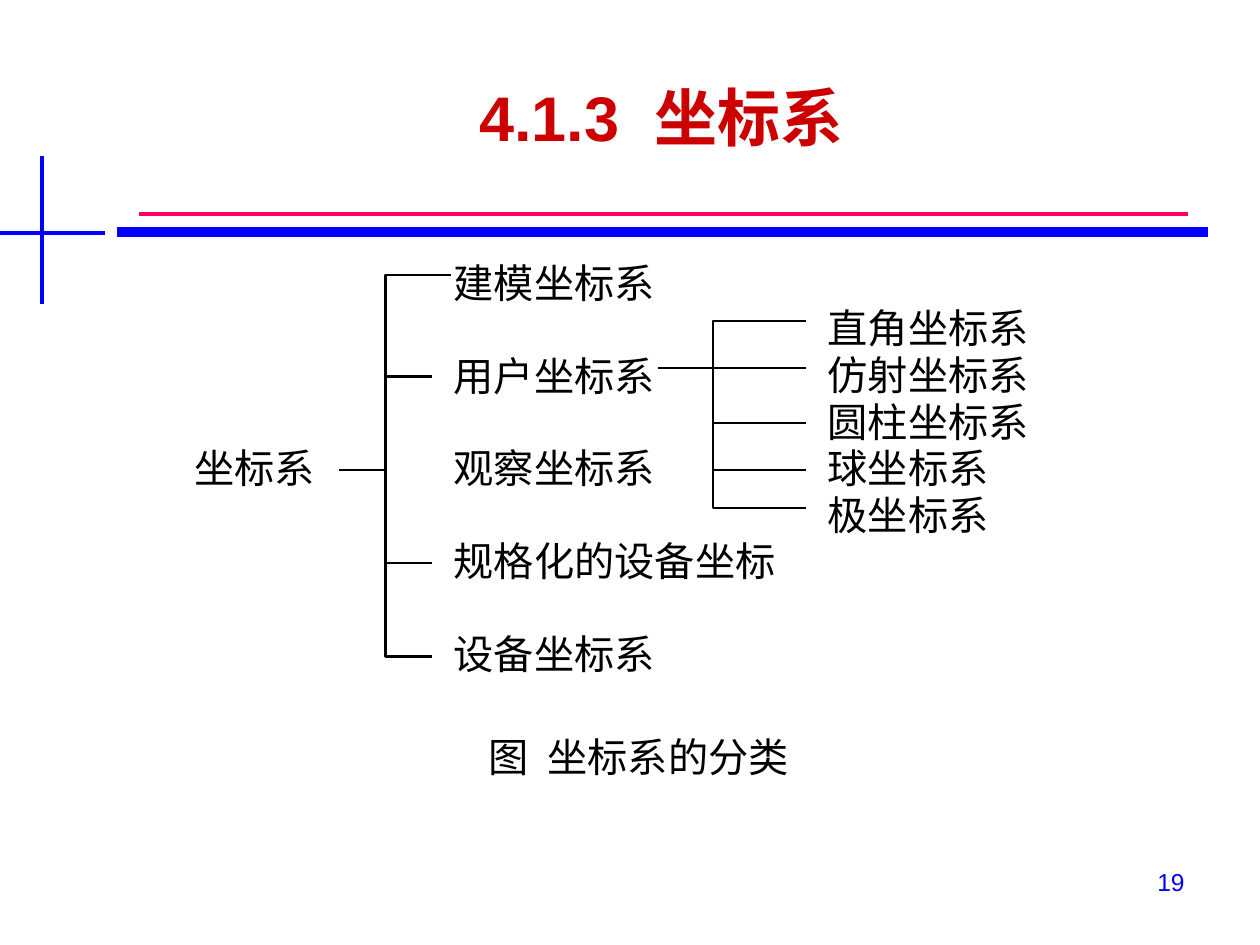
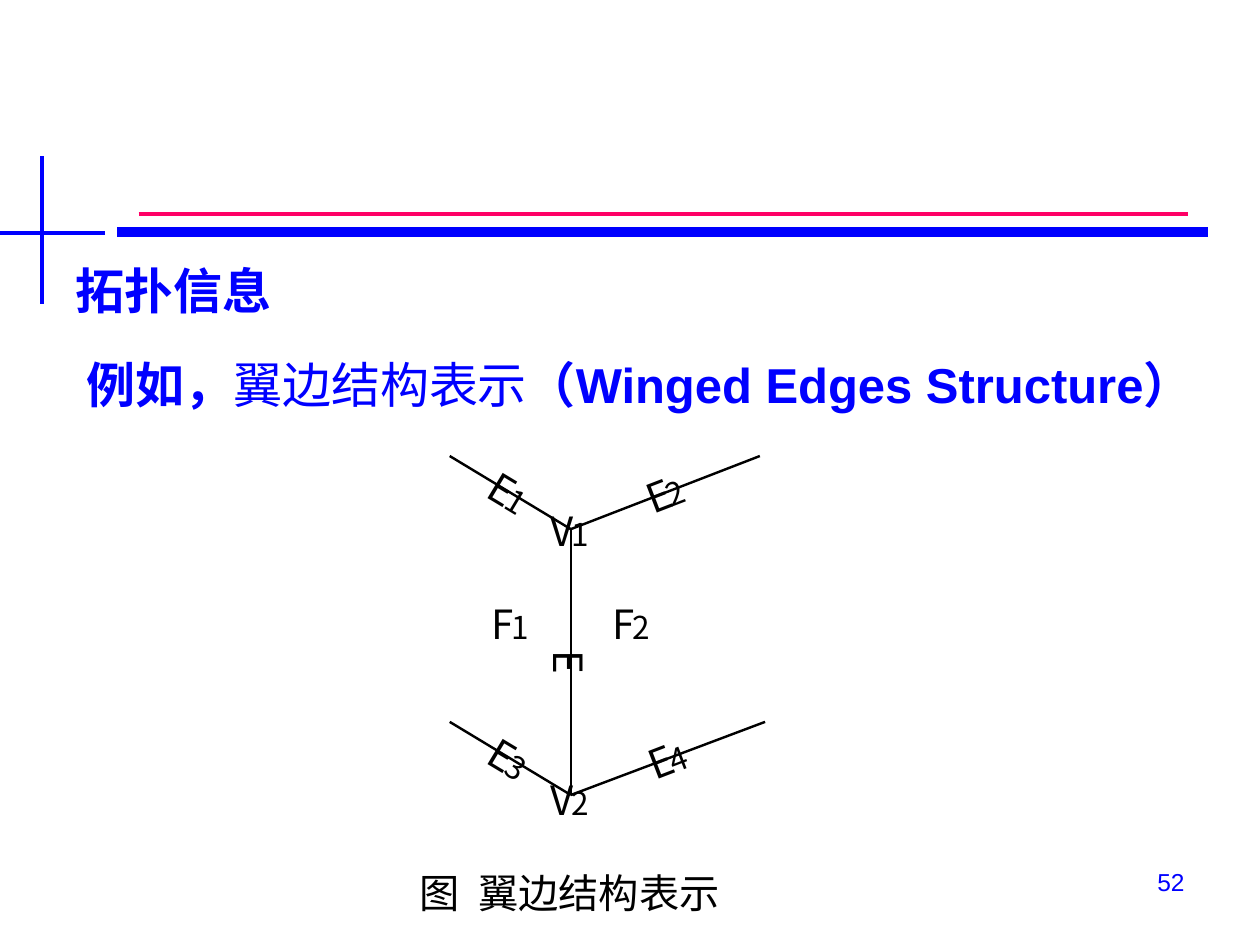
from lxml.etree import SubElement
from pptx import Presentation
from pptx.dml.color import RGBColor as Rgb
from pptx.enum.shapes import MSO_CONNECTOR as Link
from pptx.enum.text import MSO_ANCHOR as Anchor, MSO_AUTO_SIZE as Auto, PP_ALIGN as Align
from pptx.oxml.ns import qn
from pptx.util import Pt

INK = {"title": "CC0000", "blue": "0000FF", "pink": "FF0066", "black": "000000"}
LATIN, HAN = "Arial", "Noto Sans CJK SC"
BIG, SMALL, THIN = 23, 18, 1.4
SLACK = 4  # spare width that keeps a label on one line

# Frame lines: x1, y1, x2, y2, colour, width
FRAME = [
    (79.2, 122.4, 679, 122.4, "pink", 2.25),
    (67, 132.5, 690.5, 132.5, "blue", 6),
    (0, 133.2, 59.8, 133.2, "blue", 2.25),
    (24, 89.3, 24, 173.5, "blue", 2.25),
]

# Tuples of words are set with a double-width space between them
TITLE = ("4.1.3", "坐标系")
ROOT = "坐标系"
# Branches: label, height of its line, right end of its line
KINDS = [
    ("建模坐标系", 157, 257.8),
    ("用户坐标系", 215.3, 247),
    ("观察坐标系", None, None),
    ("规格化的设备坐标", 321.8, 247),
    ("设备坐标系", 375.1, 247),
]
USERS = [
    ("直角坐标系", 183.6, 460.8),
    ("仿射坐标系", 210.2, 460.8),
    ("圆柱坐标系", 241.9, 460.8),
    ("球坐标系", 268.6, 460.8),
    ("极坐标系", 290.2, 460.8),
]
TREE_NOTE = ("图", "坐标系的分类")

HEAD = "拓扑信息"
LEAD = [("例如，", True), ("翼边结构表示", False), ("（Winged Edges Structure）", True)]
WING_NOTE = ("图", "翼边结构表示")
# Vertices: y, y of its mark, number, left edge, right edge, shift of right edge
NODES = [(302.4, 289.4, "1", "1", "2", 0), (454.3, 442.8, "2", "3", "4", 1.5)]
FACES = [("1", 280.8), ("2", 349.9)]
AXIS = 326.2


def write(par, text, size, color, font=HAN, bold=False):
    parts = (text,) if isinstance(text, str) else (text[0], " ", text[1])
    for part in parts:
        run = par.add_run()
        run.text = part
        face = run.font
        face.size, face.bold, face.name = Pt(size), bold, font
        face.color.rgb = Rgb.from_string(INK[color])
        props = run._r.get_or_add_rPr()
        SubElement(props, qn("a:ea")).set("typeface", HAN)
        if part == " ":
            props.set("spc", str(round(size * (28 if font == LATIN else 22.4))))


def label(slide, text, x, y, size=BIG, wide=None, turn=0):
    """Place a tight text box whose text sets its size."""
    wide = wide or size * len("".join(text)) + SLACK
    box = slide.shapes.add_textbox(Pt(x), Pt(y), Pt(wide), Pt(size * 1.19))
    box.rotation = turn
    frame = box.text_frame
    frame.margin_left = frame.margin_right = 0
    frame.margin_top = frame.margin_bottom = 0
    frame.word_wrap, frame.auto_size = False, Auto.SHAPE_TO_FIT_TEXT
    par = frame.paragraphs[0]
    par.alignment = Align.LEFT
    write(par, text, size, "black")


def mark(slide, sign, num, x, y, dx, dy, turn=0):
    """Place a letter with a smaller number offset from it."""
    label(slide, sign, x, y, wide=13, turn=turn)
    label(slide, num, x + dx, y + dy, SMALL, 10, turn)


def line(slide, x1, y1, x2, y2, color="black", width=THIN):
    rule = slide.shapes.add_connector(Link.STRAIGHT, Pt(x1), Pt(y1), Pt(x2), Pt(y2))
    rule.line.color.rgb = Rgb.from_string(INK[color])
    rule.line.width = Pt(width)
    SubElement(rule._element.spPr, qn("a:effectLst"))


def elbow(slide, x, y, end, level):
    """Draw from (x, y) up or down to level, then right to end."""
    if level == y:
        line(slide, x, y, end, y)
        return
    pen = slide.shapes.build_freeform(Pt(x), Pt(y))
    pen.add_line_segments([(Pt(x), Pt(level)), (Pt(end), Pt(level))], close=False)
    shape = pen.convert_to_shape()
    shape.shadow.inherit = False
    shape.fill.background()
    shape.line.color.rgb = Rgb.from_string(INK["black"])
    shape.line.width = Pt(THIN)


def fork(slide, start, stem, y, items, left, top, step):
    """Draw a stalk, its branches and the column of labels."""
    line(slide, start, y, stem, y)
    for row, (text, level, end) in enumerate(items):
        label(slide, text, left, top + row * step)
        if level is not None:
            elbow(slide, stem, y, end, level)


def page(deck, layout, number):
    slide = deck.slides.add_slide(deck.slide_layouts[layout])
    for rule in FRAME:
        line(slide, *rule)
    box = slide.shapes.add_textbox(Pt(516.2), Pt(491.8), Pt(167.8), Pt(37.4))
    box.text_frame.word_wrap = True
    par = box.text_frame.paragraphs[0]
    par.alignment = Align.RIGHT
    write(par, number, 14, "blue", LATIN)
    return slide


def tree(deck):
    slide = page(deck, 5, "19")
    title = slide.shapes.title
    title.left, title.top, title.width, title.height = Pt(72), Pt(21.6), Pt(612), Pt(90)
    title.text_frame.vertical_anchor = Anchor.MIDDLE
    par = title.text_frame.paragraphs[0]
    par.alignment = Align.CENTER
    write(par, TITLE, 36, "title", LATIN, True)
    label(slide, ROOT, 110.9, 253.4)
    fork(slide, 193.7, 220.3, 268.6, KINDS, 259.2, 147.6, 52.95)
    fork(slide, 375.8, 407.5, 210.2, USERS, 473, 173.5, 26.65)
    label(slide, TREE_NOTE, 279.4, 418.3, wide=180)


def wings(deck):
    slide = page(deck, 6, "52")
    box = slide.shapes.add_textbox(Pt(36), Pt(131.8), Pt(684), Pt(120.2))
    frame = box.text_frame
    frame.word_wrap = True
    first, second = frame.paragraphs[0], frame.add_paragraph()
    for par, indent in ((first, -27.4), (second, -21)):
        par.alignment, par.line_spacing = Align.JUSTIFY, 1.4
        props = par._p.get_or_add_pPr()
        props.set("marL", str(Pt(27.4)))
        props.set("indent", str(Pt(indent)))
    second.space_before = Pt(7)
    write(first, HEAD, 28, "blue", LATIN, True)
    for text, bold in LEAD:
        write(second, text, 28, "blue", LATIN, bold)

    line(slide, AXIS, NODES[0][0], AXIS, NODES[1][0])
    label(slide, "E", 319, 364.3, wide=13, turn=90)
    for y, top, num, left, right, shift in NODES:
        line(slide, AXIS, y, 257, y - 41.8)
        line(slide, AXIS, y, 434.2 + shift * 2, y - 41.8)
        mark(slide, "E", left, 280.8, y - 36.7, 9.4, 10.1, 31)
        mark(slide, "E", right, 369.4 + shift, y - 33.1, 11.5, 1.4, 339)
        mark(slide, "V", num, 314.6, top, 12.2, 5)
    for num, x in FACES:
        mark(slide, "F", num, x, 342.7, 11.5, 5)
    label(slide, WING_NOTE, 239.8, 496.1, wide=180)


def main():
    deck = Presentation()
    deck.slide_width, deck.slide_height = Pt(720), Pt(540)
    tree(deck)
    wings(deck)
    deck.save("out.pptx")


if __name__ == "__main__":
    main()
